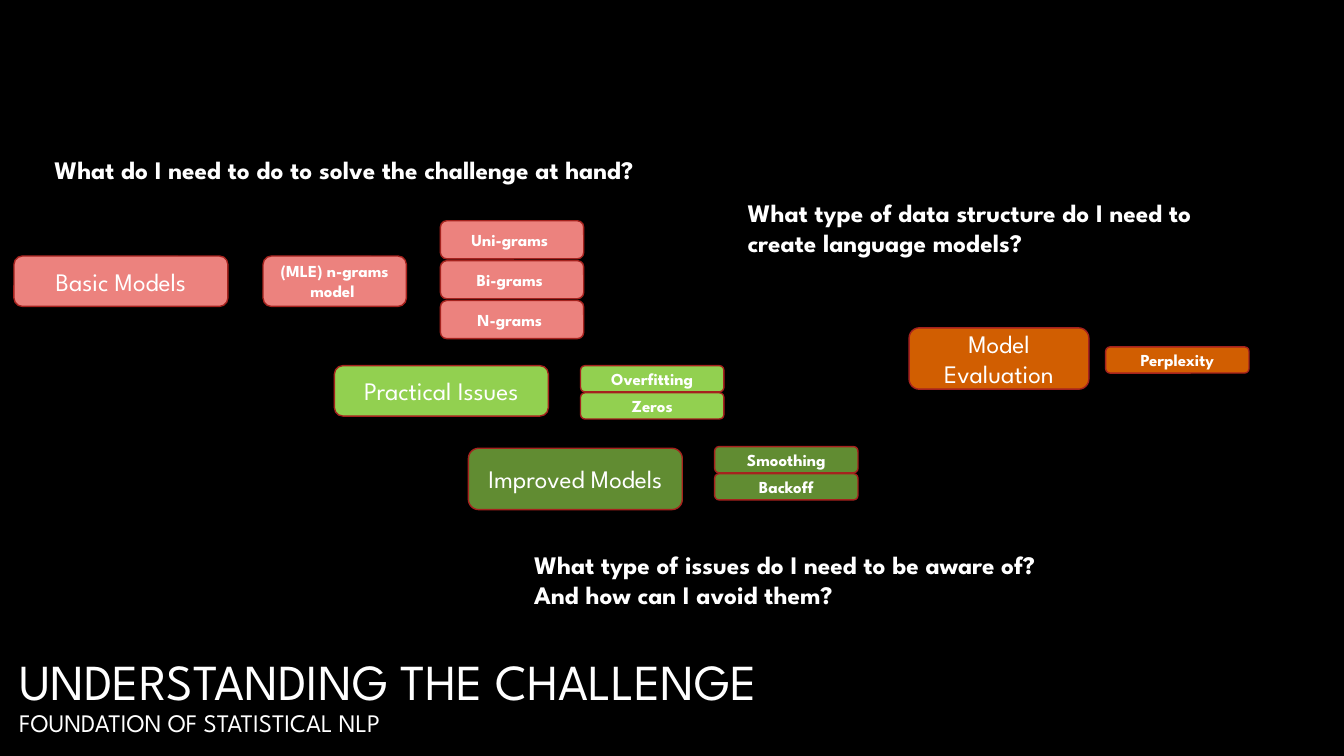
from dataclasses import dataclass
from pptx import Presentation
from pptx.dml.color import RGBColor as RGB
from pptx.enum.shapes import MSO_SHAPE as Kind
from pptx.enum.text import MSO_ANCHOR as Anchor, MSO_AUTO_SIZE as Fit, PP_ALIGN as Align
from pptx.util import Pt


@dataclass(frozen=True)
class Theme:
    font: str = "League Spartan"
    back: str = "000000"
    ink: str = "FFFFFF"
    edge: str = "A5221E"
    pink: str = "EC827E"
    lime: str = "92D050"
    green: str = "618C32"
    rust: str = "D15E01"
    title: int = 36
    head: int = 18
    small: int = 12


T = Theme()

# Content: title, then stacks of boxes, then questions
TITLE = [("UNDERSTANDING THE CHALLENGE", T.title),
         ("FOUNDATION OF STATISTICAL NLP", T.head)]

# Each family: fill, grouped or not, and its stacks.
# Each stack: left, top, width, height, step, heading or not, labels (lines of text)
WIDE, SLIM = 152.8, 102.4
FLAT, STEP = 18.7, 19.4
FAMILIES = [
    (T.pink, True, [
        (314.6, 157.7, SLIM, 27.2, 28.5, False,
         [["Uni-grams "], ["Bi-grams "], ["N-grams "]])]),
    (T.pink, False, [
        (10, 182.9, WIDE, 36, 0, True, [["Basic Models"]]),
        (187.9, 182.9, SLIM, 36, 0, False, [["(MLE) n-grams", "model "]])]),
    (T.lime, True, [
        (238.9, 261.2, WIDE, 36, 0, True, [["Practical Issues"]]),
        (414.7, 261.2, SLIM, FLAT, STEP, False, [["Overfitting"], ["Zeros"]])]),
    (T.green, True, [
        (334.6, 320.2, WIDE, 43.8, 0, True, [["Improved Models"]]),
        (510.5, 319, SLIM, FLAT, STEP, False, [["Smoothing"], ["Backoff"]])]),
    (T.rust, False, [
        (649.4, 234.2, 128.4, 43.8, 0, True, [["Model Evaluation"]]),
        (789.8, 247.8, SLIM, FLAT, 0, False, [["Perplexity"]])]),
]

# Left, top, width, height, lines
ASKS = [
    (527, 137.5, 365, 51, ["What type of data structure do I need to",
                           "create language models?"]),
    (31.7, 106.6, 466, 29, ["What do I need to do to solve the challenge at hand?"]),
    (374.5, 388.8, 403, 51, ["What type of issues do I need to be aware of?",
                             "And how can I avoid them?"]),
]


def add_run(para, text, size, bold=False):
    run = para.add_run()
    run.text = text
    font = run.font
    font.name, font.size, font.bold = T.font, Pt(size), bold
    font.color.rgb = RGB.from_string(T.ink)


def write(frame, lines, size, bold, align):
    for i, line in enumerate(lines):
        para = frame.add_paragraph() if i else frame.paragraphs[0]
        para.alignment = align
        add_run(para, line, size, bold)


def add_box(shapes, area, fill, lines, is_head):
    box = shapes.add_shape(Kind.ROUNDED_RECTANGLE, *map(Pt, area))
    box.shadow.inherit = False
    box.fill.solid()
    box.fill.fore_color.rgb = RGB.from_string(fill)
    box.line.color.rgb = RGB.from_string(T.edge)
    box.line.width = Pt(1)
    frame = box.text_frame
    frame.word_wrap = True
    frame.vertical_anchor = Anchor.MIDDLE
    write(frame, lines, T.head if is_head else T.small, not is_head, Align.CENTER)


def main():
    deck = Presentation()
    deck.slide_width, deck.slide_height = Pt(960), Pt(540)
    slide = deck.slides.add_slide(deck.slide_layouts[5])
    slide.background.fill.solid()
    slide.background.fill.fore_color.rgb = RGB.from_string(T.back)

    # Title, in two sizes
    title = slide.shapes.title
    title.left, title.top, title.width, title.height = map(Pt, (6.5, 462.2, 606, 72))
    frame = title.text_frame
    frame.word_wrap = True
    frame.auto_size = Fit.NONE
    frame.vertical_anchor = Anchor.MIDDLE
    para = frame.paragraphs[0]
    para.alignment = Align.LEFT
    para.line_spacing = 0.9
    for i, (text, size) in enumerate(TITLE):
        if i:
            para.add_line_break()
        add_run(para, text, size)

    # Families of boxes
    for fill, joined, stacks in FAMILIES:
        shapes = slide.shapes.add_group_shape().shapes if joined else slide.shapes
        for left, top, width, height, step, is_head, labels in stacks:
            for i, lines in enumerate(labels):
                area = (left, top + i * step, width, height)
                add_box(shapes, area, fill, lines, is_head)

    # Questions
    for *area, lines in ASKS:
        frame = slide.shapes.add_textbox(*map(Pt, area)).text_frame
        frame.word_wrap = False
        frame.auto_size = Fit.SHAPE_TO_FIT_TEXT
        write(frame, lines, T.head, True, Align.LEFT)

    deck.save("out.pptx")


if __name__ == "__main__":
    main()
